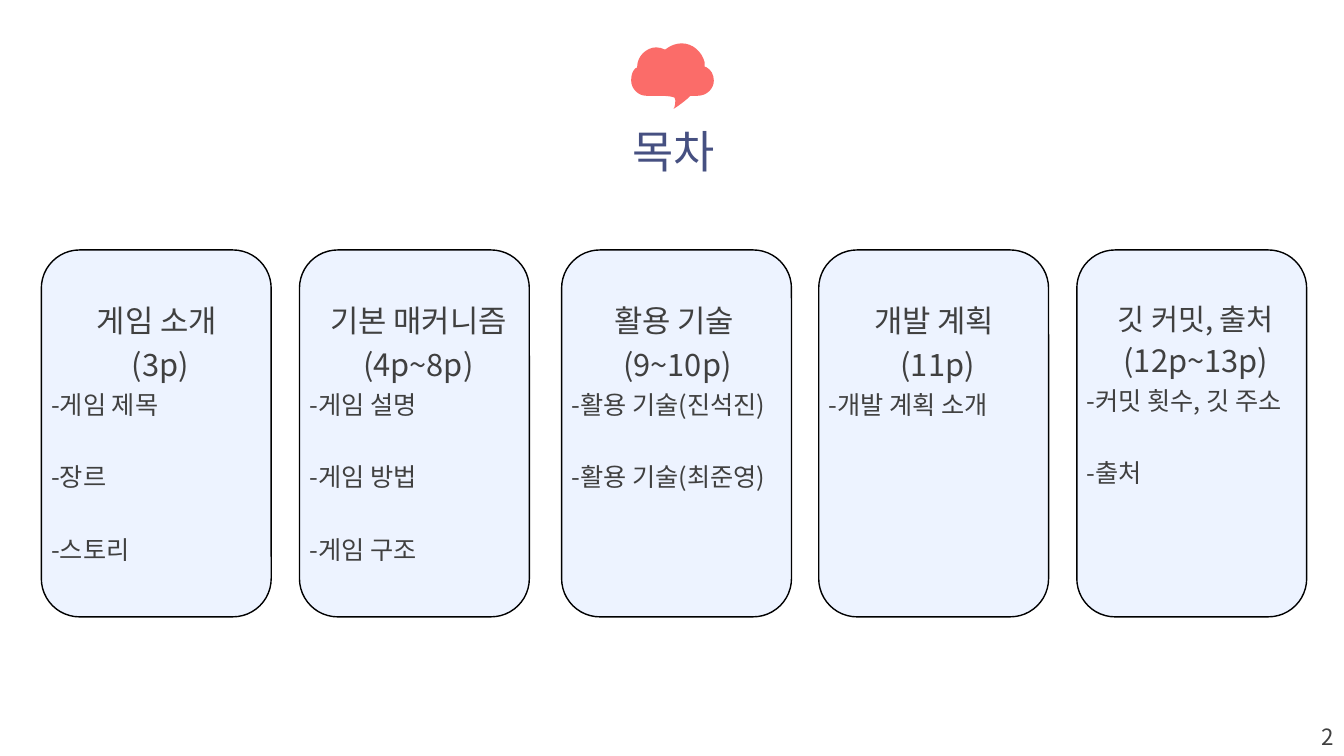
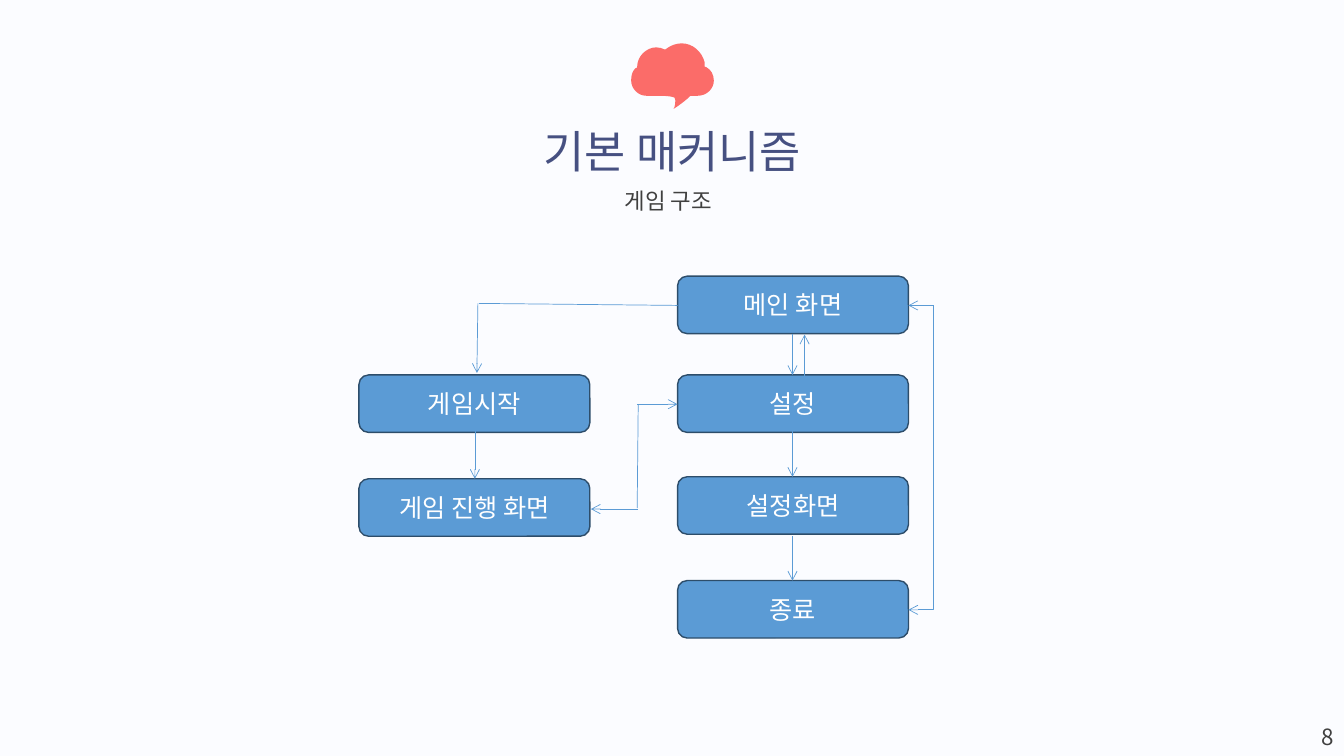
from lxml import etree
from pptx import Presentation
from pptx import util as u
from pptx.dml.color import RGBColor
from pptx.enum import shapes, text
from pptx.oxml.ns import qn

COLOURS = {
    "white": "FFFFFF", "mist": "FBFCFF", "navy": "465081", "grey": "404040",
    "coral": "FB6C69", "card": "E6EFFF", "black": "000000",
    "node": "5B9BD5", "node_edge": "2D4D6A",
}
FONT = "Noto Sans CJK KR"
CENTER, LEFT, RIGHT = text.PP_ALIGN.CENTER, text.PP_ALIGN.LEFT, text.PP_ALIGN.RIGHT

# Outlines in inches: two numbers make a line, six make a Bezier curve
CLOUD = [
    (6.76, 0.43), (6.87, 0.43, 6.96, 0.51, 6.99, 0.62), (6.99, 0.66), (7.01, 0.67),
    (7.05, 0.69, 7.08, 0.74, 7.08, 0.8), (7.08, 0.88, 7.01, 0.95, 6.92, 0.95),
    (6.41, 0.95), (6.33, 0.95, 6.26, 0.88, 6.26, 0.8),
    (6.26, 0.75, 6.27, 0.71, 6.3, 0.68), (6.32, 0.67), (6.32, 0.66),
    (6.32, 0.56, 6.41, 0.47, 6.51, 0.47), (6.54, 0.47, 6.57, 0.48, 6.59, 0.49),
    (6.6, 0.49), (6.63, 0.47), (6.66, 0.45, 6.71, 0.43, 6.76, 0.43),
]
CLOUD_TIP = [
    (6.52, 0.95), (6.52, 0.95, 6.66, 0.95, 6.69, 0.97),
    (6.71, 0.99, 6.69, 1.08, 6.68, 1.08), (6.69, 1.08, 6.9, 0.93, 6.87, 0.91),
    (6.84, 0.88, 6.52, 0.95, 6.52, 0.95),
]


def rgb(name):
    return RGBColor.from_string(COLOURS[name])


class DeckBuilder:
    def __init__(self):
        self.deck = Presentation()
        self.deck.slide_width, self.deck.slide_height = u.Inches(13.33), u.Inches(7.5)
        self.page = None

    # Shared frame: background, title, cloud and page number
    def new_page(self, background, title, left, width, number):
        self.page = self.deck.slides.add_slide(self.deck.slide_layouts[6])
        fill = self.page.background.fill
        fill.solid()
        fill.fore_color.rgb = rgb(background)
        self.label(title, left, 1.18, width, 0.63, 32, "navy")
        group = self.page.shapes.add_group_shape()
        for outline in (CLOUD, CLOUD_TIP):
            self.curved(group, outline)
        self.label(str(number), 13, 7.13, 0.33, 0.37, 16, "grey", RIGHT)

    def curved(self, group, outline):
        """Build the outline from its corners, then bend the curved parts."""
        corners = [(u.Inches(part[-2]), u.Inches(part[-1])) for part in outline]
        builder = group.shapes.build_freeform(*corners[0], scale=1.0)
        builder.add_line_segments(corners[1:], close=True)
        shape = builder.convert_to_shape()
        left, top = (min(values) for values in zip(*corners))
        lines = list(shape._element.iter(qn("a:lnTo")))
        for line, part in zip(lines, outline[1:]):
            if len(part) == 2:
                continue
            line.tag = qn("a:cubicBezTo")
            for index, x in enumerate(part[:4:2]):
                point = etree.Element(qn("a:pt"))
                point.set("x", str(u.Inches(x) - left))
                point.set("y", str(u.Inches(part[2 * index + 1]) - top))
                line.insert(index, point)
        shape.shadow.inherit = False
        shape.fill.solid()
        shape.fill.fore_color.rgb = rgb("coral")
        shape.line.fill.background()

    # Text
    def add_span(self, para, words, size, colour):
        span = para.add_run()
        span.text = words
        span.font.size = u.Pt(size)
        span.font.color.rgb = rgb(colour)
        span.font.name = FONT
        etree.SubElement(span.font._element, qn("a:ea")).set("typeface", FONT)

    def text_frame(self, left, top, width, height, wrap):
        box = self.page.shapes.add_textbox(*map(u.Inches, (left, top, width, height)))
        box.text_frame.word_wrap = wrap
        return box.text_frame

    def label(self, words, left, top, width, height, size, colour, align=CENTER):
        para = self.text_frame(left, top, width, height, False).paragraphs[0]
        para.alignment = align
        para.line_spacing = u.Pt(round(size * 1.2))
        self.add_span(para, words, size, colour)

    # Rounded boxes
    def rounded(self, left, top, width, height, fill, edge):
        shape = self.page.shapes.add_shape(
            shapes.MSO_SHAPE.ROUNDED_RECTANGLE,
            *map(u.Inches, (left, top, width, height)))
        shape.shadow.inherit = False
        shape.fill.solid()
        shape.fill.fore_color.rgb = rgb(fill)
        shape.line.color.rgb = rgb(edge)
        shape.line.width = u.Pt(1)
        return shape

    def card(self, left, text_width, headings, items):
        shape = self.rounded(left, 2.48, 2.28, 3.64, "card", "black")
        colour = shape._element.spPr.find(qn("a:solidFill"))[0]
        etree.SubElement(colour, qn("a:alpha")).set("val", "70000")
        frame = self.text_frame(left, 2.87, text_width, 2.78, True)
        paras = [(CENTER, 0, spans) for spans in headings]
        paras += [(LEFT, 26 if index else 0, [(item, 18)])
                  for index, item in enumerate(items)]
        for index, (align, before, spans) in enumerate(paras):
            para = frame.add_paragraph() if index else frame.paragraphs[0]
            para.alignment = align
            para.line_spacing = u.Pt(spans[0][1] * 1.44)
            para.space_before = u.Pt(before)
            for words, size in spans:
                self.add_span(para, words, size, "grey")

    def node(self, words, left, top):
        shape = self.rounded(left, top, 2.29, 0.57, "node", "node_edge")
        shape.text_frame.vertical_anchor = text.MSO_ANCHOR.MIDDLE
        para = shape.text_frame.paragraphs[0]
        para.alignment = CENTER
        self.add_span(para, words, 18, "white")

    # Lines and arrows
    def link(self, start, end, arrow=True, kind=shapes.MSO_CONNECTOR.STRAIGHT):
        line = self.page.shapes.add_connector(kind, *map(u.Inches, start + end))
        line.line.color.rgb = rgb("node")
        line.line.width = u.Pt(0.5)
        if arrow:
            outline = line.line._get_or_add_ln()
            etree.SubElement(outline, qn("a:tailEnd")).set("type", "arrow")
        etree.SubElement(line._element.spPr, qn("a:effectLst"))
        return line

    def corner_down(self, start, end):
        """One-corner arrow that runs down first, then sideways to the left."""
        (x1, y1), (x2, y2) = start, end
        length, depth = y2 - y1, x1 - x2
        left, top = (x1 + x2 - length) / 2, (y1 + y2 - depth) / 2
        line = self.link((left, top), (left + length, top + depth),
                         kind=shapes.MSO_CONNECTOR.ELBOW)
        properties = line._element.spPr
        properties.find(qn("a:xfrm")).set("rot", "5400000")
        properties.find(qn("a:prstGeom")).set("prst", "bentConnector2")


def contents_page(builder):
    builder.new_page("white", "목차", 6.15, 1.06, 2)
    cards = [
        (0.41, 2.36, [[("게임 소개 ", 22)], [("(3p)", 22)]],
         ["-게임 제목", "-장르", "-스토리"]),
        (2.97, 2.36, [[("기본 매커니즘 (4p~8p)", 22)]],
         ["-게임 설명", "-게임 방법", "-게임 구조"]),
        (5.57, 2.3, [[("활용 기술 ", 22)], [("(9~10p)", 22)]],
         ["-활용 기술(진석진)", "-활용 기술(최준영)"]),
        (8.12, 2.36, [[("개발 계획 ", 22)], [("(11p)", 22)]], ["-개발 계획 소개"]),
        (10.68, 2.36, [[("깃 커밋, 출처 ", 21), ("(12p~13p)", 22)]],
         ["-커밋 횟수, 깃 주소", "-출처"]),
    ]
    for card in cards:
        builder.card(*card)


def structure_page(builder):
    builder.new_page("mist", "기본 매커니즘", 5.21, 2.92, 8)
    builder.label("게임 구조", 6.06, 1.81, 1.14, 0.37, 16, "grey")

    # Screens in two columns
    columns = {
        3.56: [("게임시작", 3.72), ("게임 진행 화면", 4.75)],
        6.72: [("메인 화면", 2.74), ("설정", 3.72), ("설정화면", 4.73), ("종료", 5.76)],
    }
    for left, nodes in columns.items():
        for words, top in nodes:
            builder.node(words, left, top)

    # Steps down each column, and the way back up
    for x, start, end in [(7.86, 3.31, 3.72), (7.98, 3.75, 3.32), (7.86, 4.28, 4.73),
                          (7.86, 5.32, 5.76), (4.71, 4.28, 4.75)]:
        builder.link((x, start), (x, end))

    # Main screen to game start
    builder.link((6.72, 3.03), (4.75, 3.01), arrow=False)
    builder.link((4.74, 3.01), (4.73, 3.7))

    # Settings and game screen, both ways
    builder.link((6.33, 4.01), (6.32, 5.04), arrow=False)
    builder.link((6.32, 4.01), (6.72, 4.01))
    builder.link((6.33, 5.05), (5.86, 5.05))

    # Main screen and exit, both ways
    builder.corner_down((9.26, 3.03), (9.01, 6.05))
    builder.link((9.26, 3.03), (9.01, 3.03))


def main():
    builder = DeckBuilder()
    contents_page(builder)
    structure_page(builder)
    builder.deck.save("out.pptx")


if __name__ == "__main__":
    main()
